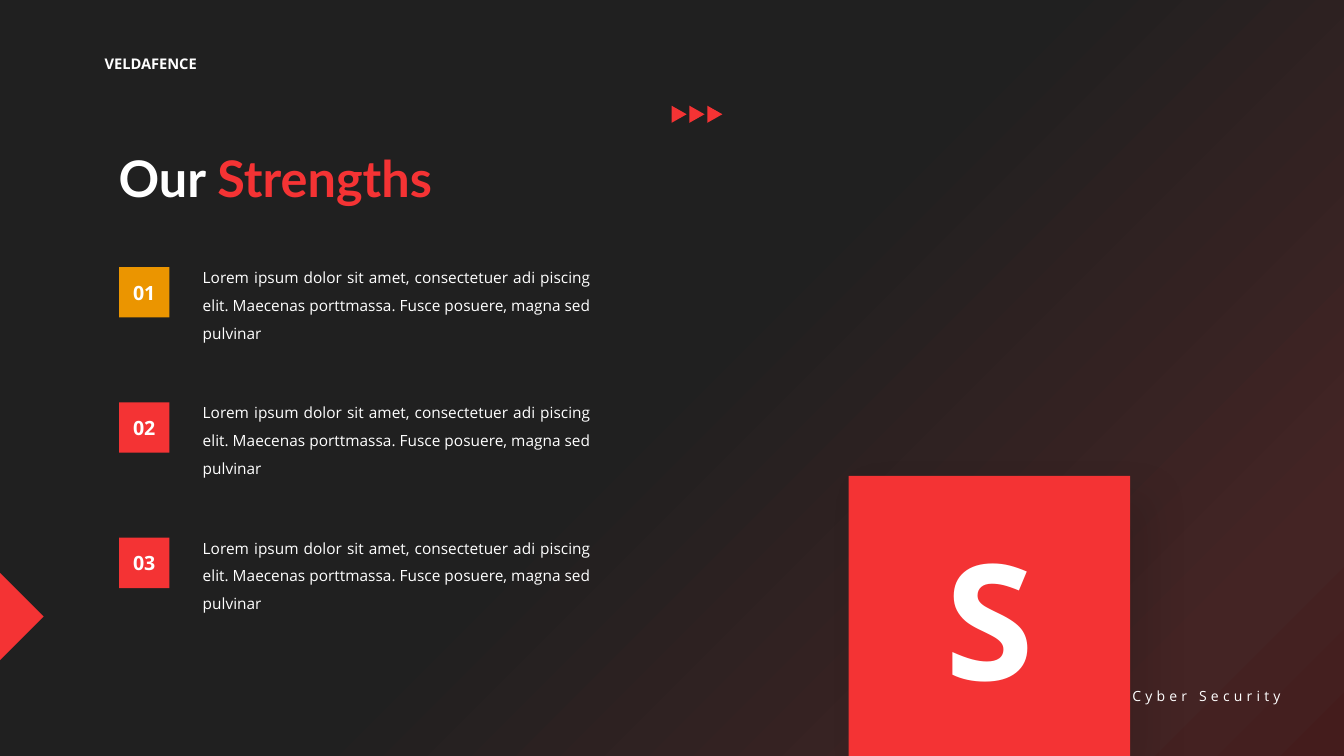
from lxml.etree import SubElement
from pptx import Presentation
from pptx.dml.color import RGBColor
from pptx.enum.shapes import MSO_SHAPE
from pptx.enum.text import MSO_ANCHOR, MSO_AUTO_SIZE, PP_ALIGN
from pptx.oxml.ns import qn
from pptx.util import Cm, Pt

COLORS = {
    "red": "F43334",
    "orange": "EB9500",
    "white": "FFFFFF",
    "shadow": "000000",
    "charcoal": "202020",
    "plum": "442424",
    "maroon": "441C1C",
}
BACKGROUND_STOPS = [(0, "charcoal"), (50, "charcoal"), (88, "plum"), (100, "maroon")]

BRAND = "VELDAFENCE"
TAGLINE = "Cyber Security"
TITLE = [("Our ", "white"), ("Strengths", "red")]
BODY = ("Lorem ipsum dolor sit amet, consectetuer adi piscing elit. "
        "Maecenas porttmassa. Fusce posuere, magna sed pulvinar")
STRENGTHS = [("01", "orange", BODY), ("02", "red", BODY), ("03", "red", BODY)]

ROW_TOP, ROW_PITCH = 6.4, 3.41
BADGE_SIZE, BADGE_DROP = 1.27, 0.33
ARROW_COUNT, ARROW_LEFT, ARROW_PITCH = 3, 16.9, 0.45


def add_color(parent, color, alpha=None):
    """Append an RGB colour, with opacity in percent if given."""
    element = SubElement(parent, qn("a:srgbClr"), val=COLORS[color])
    if alpha is not None:
        SubElement(element, qn("a:alpha"), val=str(alpha * 1000))


def paint_background(slide):
    """Fill the slide with the diagonal gradient."""
    fill = slide.background.fill
    fill.gradient()
    fill.gradient_angle = 315
    stop_list = slide.element.find(".//" + qn("a:gsLst"))
    for stop in list(stop_list):
        stop_list.remove(stop)
    for position, color in BACKGROUND_STOPS:
        stop = SubElement(stop_list, qn("a:gs"), pos=str(position * 1000))
        add_color(stop, color)


def write(shape, runs, size, font="Open Sans", bold=False, align=PP_ALIGN.LEFT):
    """Write one paragraph of (text, colour) runs."""
    paragraph = shape.text_frame.paragraphs[0]
    paragraph.alignment = align
    for text, color in runs:
        run = paragraph.add_run()
        run.text = text
        run.font.name = font
        run.font.size = Pt(size)
        run.font.bold = bold
        run.font.color.rgb = RGBColor.from_string(COLORS[color])


def add_text(slide, box, runs, size, wrap=True, **style):
    """Add a text box that grows with its text."""
    shape = slide.shapes.add_textbox(*map(Cm, box))
    shape.text_frame.word_wrap = wrap
    shape.text_frame.auto_size = MSO_AUTO_SIZE.SHAPE_TO_FIT_TEXT
    write(shape, runs, size, **style)
    return shape


def add_block(slide, kind, box, color="red", rotation=0):
    """Add a flat, borderless preset shape."""
    shape = slide.shapes.add_shape(kind, *map(Cm, box))
    shape.shadow.inherit = False
    shape.fill.solid()
    shape.fill.fore_color.rgb = RGBColor.from_string(COLORS[color])
    shape.line.fill.background()
    shape.rotation = rotation
    return shape


def add_label_square(slide, left, top, side, label, size, color="red"):
    """Add a square with a bold centred label."""
    square = add_block(slide, MSO_SHAPE.RECTANGLE, (left, top, side, side), color)
    square.text_frame.vertical_anchor = MSO_ANCHOR.MIDDLE
    write(square, [(label, "white")], size, bold=True, align=PP_ALIGN.CENTER)
    return square


def add_soft_shadow(shape):
    """Cast a faint shadow to the lower right."""
    effects = shape.element.spPr.find(qn("a:effectLst"))
    shadow = SubElement(effects, qn("a:outerShdw"), blurRad=str(Pt(30)),
                        dist=str(Pt(20)), dir=str(45 * 60000),
                        algn="tl", rotWithShape="0")
    add_color(shadow, "shadow", alpha=10)


def space_letters(shape, points):
    """Widen the letter spacing of every run."""
    for properties in shape.element.iter(qn("a:rPr")):
        properties.set("spc", str(points * 100))


presentation = Presentation()
presentation.slide_width = Cm(33.87)
presentation.slide_height = Cm(19.05)
slide = presentation.slides.add_slide(presentation.slide_layouts[6])
paint_background(slide)

letter_square = add_label_square(slide, 21.39, 11.99, 7.09, "S", 115)
add_soft_shadow(letter_square)

add_text(slide, (2.39, 1.25, 3.0, 0.71), [(BRAND, "white")], 10.5, wrap=False, bold=True)
tagline = add_text(slide, (27.97, 17.2, 4.55, 0.69), [(TAGLINE, "white")], 10,
                   wrap=False, align=PP_ALIGN.RIGHT)
space_letters(tagline, 3)

add_block(slide, MSO_SHAPE.RIGHT_TRIANGLE, (-0.77, 14.76, 1.55, 1.55), rotation=225)
add_text(slide, (2.74, 3.58, 11.33, 1.8), TITLE, 36, font="Lato", bold=True)

for index, (number, color, body) in enumerate(STRENGTHS):
    top = ROW_TOP + index * ROW_PITCH
    description = add_text(slide, (4.86, top, 10.28, 2.36), [(body, "white")], 11,
                           align=PP_ALIGN.JUSTIFY)
    description.text_frame.paragraphs[0].line_spacing = 1.5
    add_label_square(slide, 3.0, top + BADGE_DROP, BADGE_SIZE, number, 14, color)

for index in range(ARROW_COUNT):
    left = ARROW_LEFT + index * ARROW_PITCH
    add_block(slide, MSO_SHAPE.ISOSCELES_TRIANGLE, (left, 2.69, 0.43, 0.38), rotation=90)

presentation.save("out.pptx")
